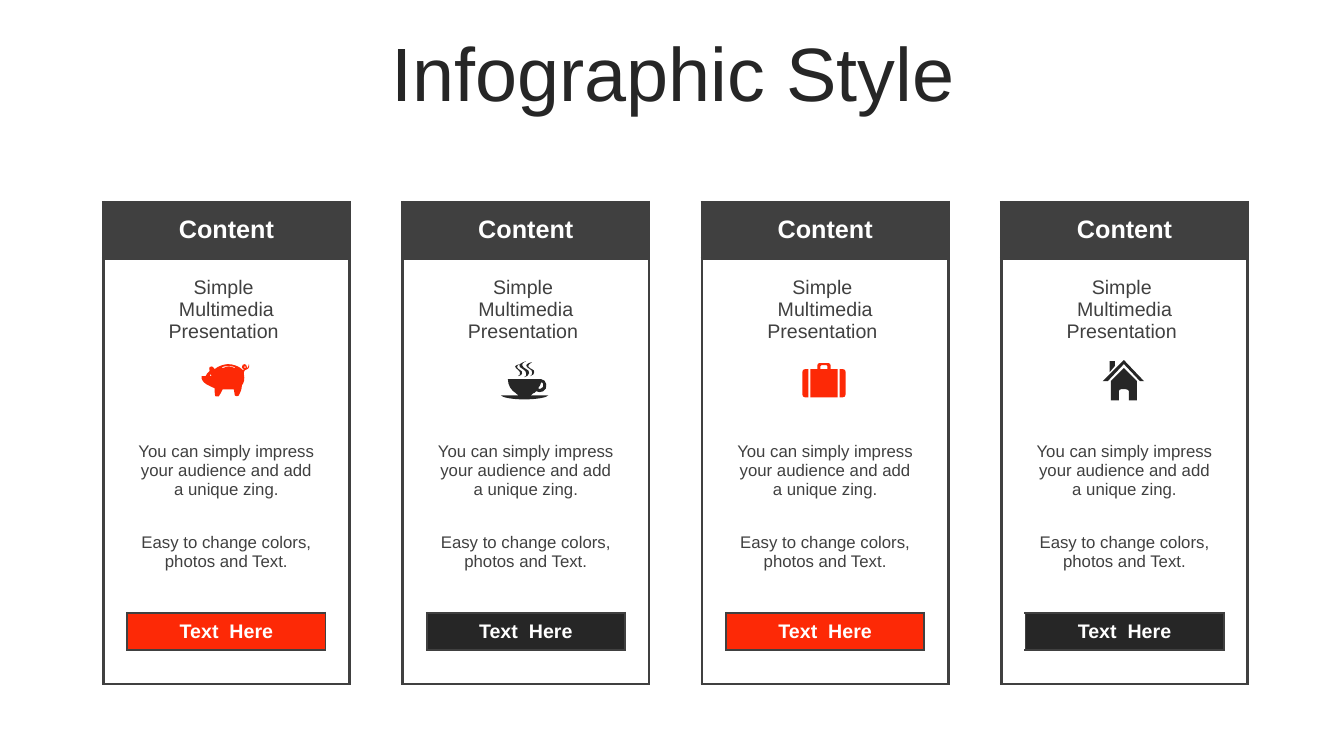
from lxml.etree import SubElement as Sub
from pptx import Presentation
from pptx.dml.color import RGBColor as RGB
from pptx.enum.text import MSO_ANCHOR as ANC, PP_ALIGN as AL
from pptx.oxml import parse_xml
from pptx.oxml.ns import nsdecls, qn
from pptx.util import Pt

INK = {"red": "FD2906", "dark": "262626", "gray": "404040", "white": "FFFFFF"}
FACE = "Arial"
TITLE = "Infographic Style"

# Cell text by row: lines, size, bold, colour
TEXT = {
    0: (["Content"], 18, True, "white"),
    1: (["Simple ", "Multimedia Presentation "], 14, False, "gray"),
    3: (["You can simply impress your audience and add a unique zing."], 12, False, "gray"),
    4: (["Easy to change colors, photos and Text."], 12, False, "gray"),
    6: (["Text  Here"], 14, True, "white"),
}

# Icon outlines in hundredths of an inch: pairs are corners, sixes are curves
PIG = [
    [(9, 10), (8, 10, 8, 10, 8, 11), (8, 12, 8, 12, 9, 12),
     (10, 12, 10, 12, 10, 11), (10, 10, 10, 10, 9, 10)],
    [(43, 2), (42, 2, 42, 2, 42, 3), (42, 4, 42, 4, 43, 4),
     (43, 4, 44, 4, 44, 3), (44, 2, 43, 2, 43, 2)],
    [(27, 2), (25, 2, 22, 2, 20, 3), (21, 4), (25, 2, 29, 2, 33, 4), (33, 3),
     (31, 2, 29, 2, 27, 2)],
    [(26, 0), (31, 0, 37, 2, 40, 5), (41, 6), (41, 6, 41, 6, 42, 5),
     (41, 5, 40, 4, 40, 3), (40, 1, 41, 0, 43, 0), (44, 0, 45, 2, 45, 3),
     (45, 4, 45, 3, 45, 4), (45, 4, 46, 4, 47, 0), (48, 4, 46, 5, 43, 6),
     (43, 7, 42, 7, 42, 8), (42, 8, 42, 8, 42, 8), (42, 10), (43, 15, 42, 19, 40, 21),
     (40, 26, 38, 28, 37, 31), (37, 32, 33, 32, 33, 31), (33, 29, 32, 27, 32, 25),
     (28, 25, 24, 25, 21, 25), (20, 28, 18, 30, 17, 32), (14, 32),
     (13, 32, 13, 27, 13, 24), (9, 22, -1, 19, 0, 12), (0, 12, 2, 12, 4, 12),
     (5, 10, 6, 8, 8, 7), (8, 5, 7, 3, 8, 3), (11, 1, 12, 4, 13, 5),
     (16, 2, 23, 0, 26, 0)],
]
CUP = [
    [(40, 21), (39, 23, 39, 25, 37, 27), (38, 28, 39, 28, 40, 27),
     (42, 27, 42, 25, 42, 23), (42, 22, 41, 21, 40, 21)],
    [(40, 18), (42, 18, 45, 20, 45, 23), (46, 26, 44, 29, 42, 30),
     (40, 31, 37, 31, 35, 30), (34, 31, 33, 32, 32, 32), (31, 33, 30, 34, 29, 34),
     (47, 34), (46, 36, 36, 38, 23, 38), (11, 38, 1, 36, 0, 34), (18, 34),
     (17, 34, 16, 33, 15, 32), (10, 29, 7, 24, 7, 18)],
    [(19, 3), (17, 4, 16, 4, 16, 6), (17, 9, 22, 9, 21, 12), (21, 14, 20, 14, 17, 15),
     (19, 14, 19, 13, 19, 11), (19, 9, 16, 9, 15, 7), (13, 5, 15, 4, 19, 3)],
    [(31, 1), (29, 3, 27, 3, 27, 5), (28, 8, 34, 8, 33, 11), (33, 13, 32, 14, 29, 15),
     (31, 14, 31, 13, 31, 11), (31, 8, 27, 8, 26, 6), (24, 4, 26, 2, 31, 1)],
    [(25, 0), (22, 2, 21, 2, 21, 4), (22, 8, 29, 8, 28, 12), (27, 15, 26, 15, 23, 16),
     (25, 15, 26, 14, 25, 12), (25, 9, 21, 8, 19, 6), (17, 3, 20, 2, 25, 0)],
]
CASE = [
    [(37, 6), (40, 6), (42, 6, 43, 7, 43, 9), (43, 31), (43, 33, 42, 34, 40, 34), (37, 34)],
    [(3, 6), (6, 6), (6, 34), (3, 34), (1, 34, 0, 33, 0, 31), (0, 9), (0, 7, 1, 6, 3, 6)],
    [(19, 2), (18, 2, 18, 3, 18, 3), (18, 6), (25, 6), (25, 3), (25, 3, 25, 2, 24, 2)],
    [(17, 0), (26, 0), (27, 0, 28, 1, 28, 2), (28, 6), (35, 6), (35, 34), (8, 34),
     (8, 6), (15, 6), (15, 2), (15, 1, 16, 0, 17, 0)],
]
HOUSE = [
    [(21, 8), (34, 21), (34, 40), (26, 40), (26, 31), (26, 30, 25, 29, 23, 29), (18, 29),
     (17, 29, 16, 30, 16, 31), (16, 40), (8, 40), (8, 21)],
    [(7, 1), (12, 1), (12, 6), (7, 12)],
    [(21, 0), (41, 21), (37, 21), (21, 4)],
    [(21, 0), (21, 4), (5, 21), (0, 21)],
]
CARDS = [(PIG, "red"), (CUP, "dark"), (CASE, "red"), (HOUSE, "dark")]

# Layout in points
LEFT, TOP, STEP = 73.7, 144.5, 213.84
COLS = [16.4, 141.6, 16.4]
ROWS = [39.9, 73, 40.8, 76, 40, 23.6, 26.8, 24]
ICON_Y, UNIT = 271.6, Pt(0.72)
BUTTON = (6, 1)
NEAR = {BUTTON: "LRTB", (6, 0): "R", (6, 2): "L", (5, 1): "B", (7, 1): "T"}
PLAIN = "{2D5ABB26-0587-4C30-8999-92F81FD0307C}"  # table style without grid


def write(frame, lines, size, bold, tint):
    frame.text = "\n".join(lines)
    for para in frame.paragraphs:
        para.alignment = AL.CENTER
        font = para.font
        font.name, font.size, font.bold = FACE, Pt(size), bold
        font.color.rgb = RGB.from_string(INK[tint])


def sides(row, col):
    """Border width of each side of a cell, 0 for none."""
    last = len(ROWS) - 1
    outer = {"L": col == 0, "R": col == 2, "T": row in (0, 1), "B": row in (0, last)}
    thin = NEAR.get((row, col), "")
    return {s: 1.5 if s in thin else 2.25 * outer[s] for s in "LRTB"}


def dress(cell, row, col, tint):
    cell.margin_top = cell.margin_bottom = 0
    cell.vertical_anchor = ANC.MIDDLE
    name = "gray" if row == 0 else tint if (row, col) == BUTTON else "white"
    cell.fill.solid()
    cell.fill.fore_color.rgb = RGB.from_string(INK[name])
    prop = cell._tc.get_or_add_tcPr()
    if row > 2 and name == "white":
        Sub(next(prop.iter(qn("a:srgbClr"))), qn("a:alpha"), val="20000")
    solid = f'<a:solidFill><a:srgbClr val="{INK["gray"]}"/></a:solidFill>'
    for n, (side, wide) in enumerate(sides(row, col).items()):
        size = f'w="{Pt(wide)}"' if wide else ""
        prop.insert(n, parse_xml(f'<a:ln{side} {nsdecls("a")} {size}>'
                                 f'{solid if wide else "<a:noFill/>"}</a:ln{side}>'))


def add_card(shapes, x, tint):
    frame = shapes.add_table(len(ROWS), len(COLS), Pt(x), Pt(TOP),
                             Pt(sum(COLS)), Pt(sum(ROWS)))
    table = frame.table
    table.first_row = table.horz_banding = False
    next(table._tbl.iter(qn("a:tableStyleId"))).text = PLAIN
    for col, wide in zip(table.columns, COLS):
        col.width = Pt(wide)
    for r, high in enumerate(ROWS):
        table.rows[r].height = Pt(high)
        for c in range(len(COLS)):
            dress(table.cell(r, c), r, c, tint)
        if r in TEXT:
            write(table.cell(r, 1).text_frame, *TEXT[r])


def trace(ring):
    """Scaled corners and curve handles of one outline."""
    return [(seg[i] * UNIT, seg[i + 1] * UNIT)
            for seg in ring for i in range(0, len(seg), 2)]


def bend(icon, rings):
    """Join each three lines that stand for a curve into one Bézier."""
    lines = iter(list(icon._element.iter(qn("a:lnTo"))))
    for ring in rings:
        for seg in ring[1:]:
            node = next(lines)
            if len(seg) == 6:
                node.tag = qn("a:cubicBezTo")
                for part in (next(lines), next(lines)):
                    node.append(part[0])
                    part.getparent().remove(part)


def add_icon(shapes, rings, mid, tint):
    first, *rest = map(trace, rings)
    pen = shapes.build_freeform(*first[0])
    pen.add_line_segments(first[1:], close=True)
    for pts in rest:
        pen.move_to(*pts[0])
        pen.add_line_segments(pts[1:], close=True)
    icon = pen.convert_to_shape()
    bend(icon, rings)
    icon.left = Pt(mid) - icon.width // 2
    icon.top = Pt(ICON_Y) - icon.height // 2
    icon.shadow.inherit = False
    icon.fill.solid()
    icon.fill.fore_color.rgb = RGB.from_string(INK[tint])
    icon.line.fill.background()


def main():
    deck = Presentation()
    deck.slide_width, deck.slide_height = Pt(960), Pt(540)
    shapes = deck.slides.add_slide(deck.slide_layouts[6]).shapes

    # Title
    frame = shapes.add_textbox(Pt(25.2), Pt(26.6), Pt(911.5), Pt(56.9)).text_frame
    frame.word_wrap = True
    frame.vertical_anchor = ANC.MIDDLE
    write(frame, [TITLE], 54, False, "dark")
    frame.paragraphs[0].line_spacing = 0.9

    # Cards with icons
    for n, (rings, tint) in enumerate(CARDS):
        x = LEFT + n * STEP
        add_card(shapes, x, tint)
        add_icon(shapes, rings, x + sum(COLS) / 2, tint)

    deck.save("out.pptx")


if __name__ == "__main__":
    main()
